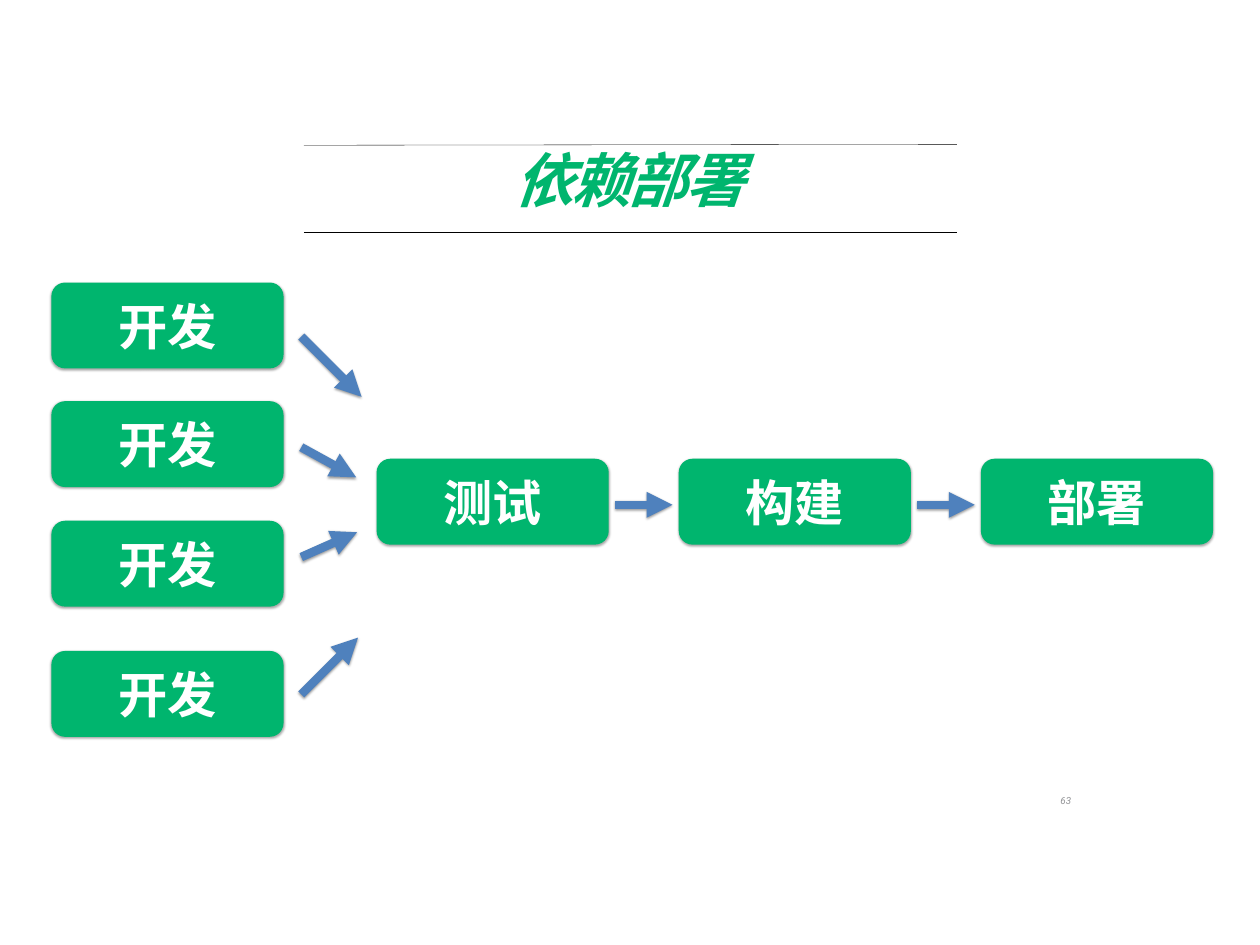
from dataclasses import dataclass

from lxml.etree import SubElement
from pptx import Presentation
from pptx.dml.color import RGBColor
from pptx.enum.shapes import MSO_CONNECTOR, MSO_SHAPE
from pptx.enum.text import MSO_ANCHOR, MSO_AUTO_SIZE, PP_ALIGN
from pptx.oxml.ns import qn
from pptx.shapes.connector import Connector
from pptx.slide import Slide
from pptx.text.text import TextFrame
from pptx.util import Pt

EMU_PER_PX = 9144
GREEN = RGBColor(0x00, 0xB5, 0x6E)
BLUE = RGBColor(0x4F, 0x81, 0xBD)
GRAY = RGBColor(0x92, 0x93, 0x96)
WHITE = RGBColor(0xFF, 0xFF, 0xFF)
BLACK = RGBColor(0x00, 0x00, 0x00)

BOX_W, BOX_H = 262, 97
STAGE_LEFT, STAGE_TOP, STAGE_PITCH = 425, 518, 341
ARROW_Y = 570


@dataclass(frozen=True)
class Box:
    label: str
    left: int
    top: int


@dataclass(frozen=True)
class Line:
    x1: int
    y1: int
    x2: int
    y2: int


DEV_BOXES = [Box("开发", 58, top) for top in (319, 453, 588, 735)]
STAGE_BOXES = [
    Box(label, STAGE_LEFT + i * STAGE_PITCH, STAGE_TOP)
    for i, label in enumerate(("测试", "构建", "部署"))
]
DEV_ARROWS = [
    Line(340, 380, 408, 448),
    Line(340, 505, 402, 539),
    Line(340, 629, 403, 601),
    Line(340, 784, 404, 720),
]
STAGE_ARROWS = [
    Line(b.left + BOX_W + 7, ARROW_Y, b.left + BOX_W + 72, ARROW_Y)
    for b in STAGE_BOXES[:-1]
]
TITLE_RULES = [Line(343, 262, 1080, 262), Line(343, 164, 1080, 163)]


def px(n: int) -> int:
    return n * EMU_PER_PX


def set_margins(tf: TextFrame, margin: int) -> None:
    tf.margin_left = tf.margin_right = px(margin)
    tf.margin_top = tf.margin_bottom = px(margin)


def format_text(tf: TextFrame, align: PP_ALIGN, font: str, size: int,
                color: RGBColor, bold: bool = False, italic: bool = False) -> None:
    p = tf.paragraphs[0]
    p.alignment = align
    f = p.runs[0].font
    f.name, f.size, f.bold, f.italic = font, Pt(size), bold, italic
    f.color.rgb = color


def add_shadow(effects, alpha: int) -> None:
    shadow = SubElement(effects, qn("a:outerShdw"), blurRad=str(Pt(2)),
                        dist=str(Pt(1)), dir="5400000", rotWithShape="0")
    color = SubElement(shadow, qn("a:srgbClr"), val=str(BLACK))
    SubElement(color, qn("a:alpha"), val=str(alpha * 1000))


def add_line(s: Slide, line: Line, color: RGBColor, width: float) -> Connector:
    c = s.shapes.add_connector(MSO_CONNECTOR.STRAIGHT, px(line.x1), px(line.y1),
                               px(line.x2), px(line.y2))
    c.line.color.rgb = color
    c.line.width = Pt(width)
    SubElement(c._element.spPr, qn("a:effectLst"))
    return c


def add_arrow(s: Slide, line: Line) -> None:
    c = add_line(s, line, BLUE, 7)
    SubElement(c.line._get_or_add_ln(), qn("a:tailEnd"), type="triangle")
    add_shadow(c._element.spPr.find(qn("a:effectLst")), 38)


def add_box(s: Slide, box: Box) -> None:
    sp = s.shapes.add_shape(MSO_SHAPE.ROUNDED_RECTANGLE, px(box.left), px(box.top),
                            px(BOX_W), px(BOX_H))
    sp.adjustments[0] = 0.16
    sp.fill.solid()
    sp.fill.fore_color.rgb = GREEN
    sp.line.fill.background()
    sp.shadow.inherit = False
    add_shadow(sp._element.spPr.find(qn("a:effectLst")), 35)
    tf = sp.text_frame
    tf.text = box.label
    tf.vertical_anchor = MSO_ANCHOR.MIDDLE
    set_margins(tf, 5)
    format_text(tf, PP_ALIGN.CENTER, "Calibri", 40, WHITE, bold=True)


def format_title(s: Slide) -> None:
    sp = s.shapes.title
    sp.left, sp.top, sp.width, sp.height = px(343), px(172), px(735), px(80)
    tf = sp.text_frame
    tf.text = "依赖部署"
    tf.auto_size = MSO_AUTO_SIZE.NONE
    tf.vertical_anchor = MSO_ANCHOR.MIDDLE
    set_margins(tf, 0)
    tf.paragraphs[0].line_spacing = 0.7
    format_text(tf, PP_ALIGN.CENTER, "Roboto", 48, GREEN, bold=True, italic=True)
    tf.paragraphs[0].runs[0].font._element.set("spc", "-190")


def add_page_number(s: Slide) -> None:
    tf = s.shapes.add_textbox(px(1191), px(893), px(22), px(24)).text_frame
    tf.text = "63"
    tf.word_wrap = False
    set_margins(tf, 4)
    format_text(tf, PP_ALIGN.RIGHT, "Roboto", 8, GRAY, italic=True)


def main() -> None:
    prs = Presentation()
    prs.slide_width, prs.slide_height = px(1422), px(1067)
    s = prs.slides.add_slide(prs.slide_layouts[5])
    for rule in TITLE_RULES:
        add_line(s, rule, BLACK, 0.25)
    add_page_number(s)
    format_title(s)
    for box in DEV_BOXES + STAGE_BOXES:
        add_box(s, box)
    for arrow in DEV_ARROWS + STAGE_ARROWS:
        add_arrow(s, arrow)
    prs.save("out.pptx")


if __name__ == "__main__":
    main()
